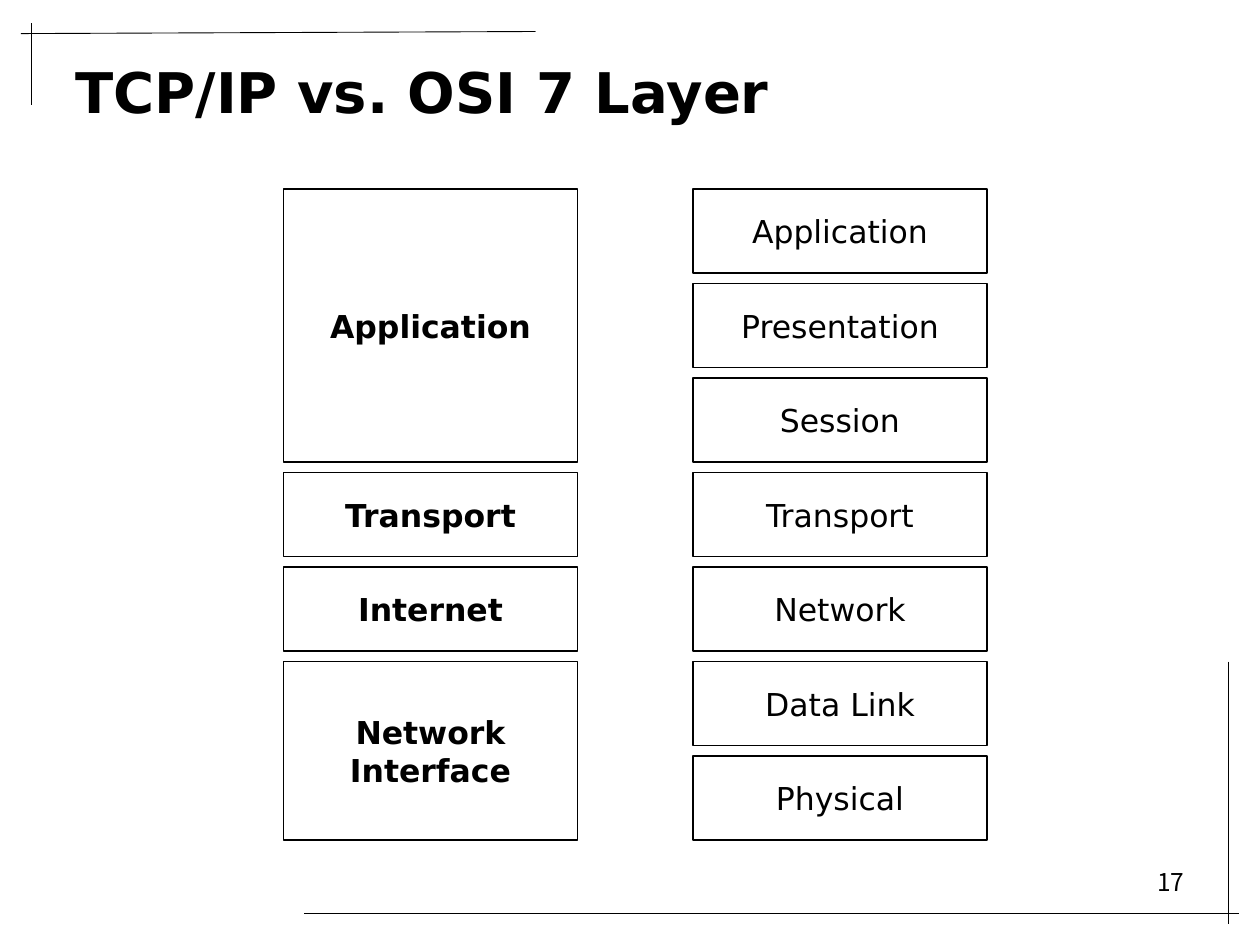
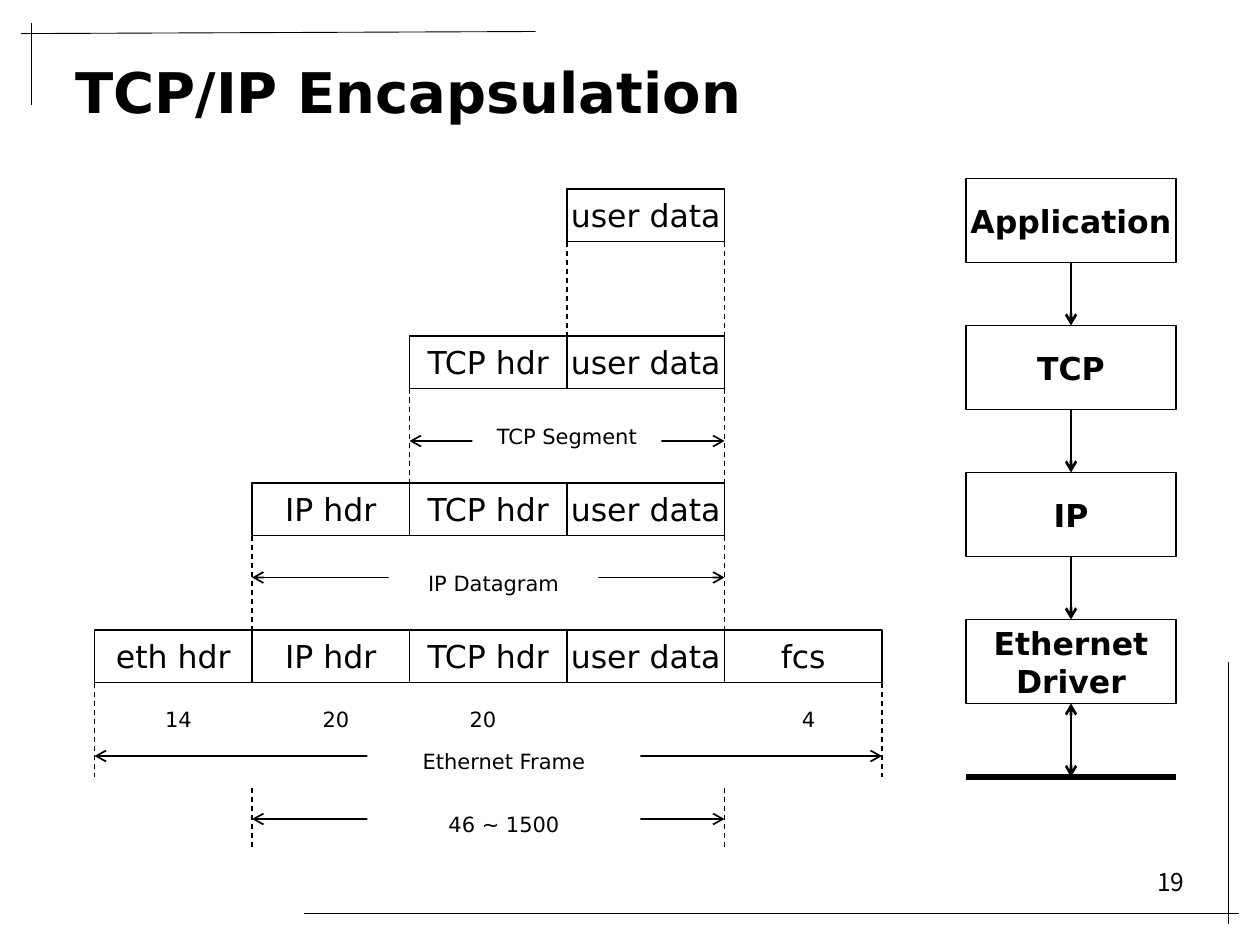
from lxml.etree import SubElement
from pptx import Presentation
from pptx.dml.color import RGBColor
from pptx.enum.dml import MSO_LINE
from pptx.enum.shapes import MSO_CONNECTOR as CONN, MSO_SHAPE as SHAPE
from pptx.enum.text import MSO_ANCHOR as ANCHOR, PP_ALIGN as ALIGN
from pptx.oxml.ns import qn
from pptx.util import Inches, Pt

# All lengths are in grid units: 12 to the inch, so a slide is 120 x 90.
COLS, ROWS = 120, 90
INK, PAPER = "000000", "FFFFFF"
FONT, NUMBER_FONT = "DejaVu Sans", "Noto Sans CJK KR"
FRAME_LINES = [(29, 87, 118, 87), (2, 3.2, 51, 3),
               (3, 2.2, 3, 10), (117, 63, 117, 88)]


def grid(*units):
    return [Inches(u / 12) for u in units]


def color(fmt, value):
    fmt.rgb = RGBColor.from_string(value)


def fill(target, value):
    target.fill.solid()
    color(target.fill.fore_color, value)


def write(tf, text, size, bold=False, align=ALIGN.CENTER, font=FONT):
    for i, line in enumerate(text.split("\n")):
        p = tf.add_paragraph() if i else tf.paragraphs[0]
        p.text = line
        p.alignment = align
        p.font.name, p.font.size, p.font.bold = font, Pt(size), bold
        color(p.font.color, INK)


def text_box(s, box, text, size, anchor, **style):
    tf = s.shapes.add_textbox(*grid(*box)).text_frame
    tf.word_wrap = True
    tf.vertical_anchor = anchor
    write(tf, text, size, **style)


def block(s, box, text, size=18, bold=False, outlined=True):
    sp = s.shapes.add_shape(SHAPE.RECTANGLE, *grid(*box))
    sp.shadow.inherit = False
    fill(sp, PAPER)
    if outlined:
        fill(sp.line, INK)
        sp.line.width = Pt(0.75)
    else:
        sp.line.fill.background()
    sp.text_frame.word_wrap = False
    sp.text_frame.vertical_anchor = ANCHOR.MIDDLE
    write(sp.text_frame, text, size, bold)
    return sp


def label(s, box, text):
    block(s, box, text, size=12, outlined=False)


def line(s, ends, width, dashed=False, arrows=()):
    """Draw a straight line; arrows lists "headEnd" and/or "tailEnd"."""
    c = s.shapes.add_connector(CONN.STRAIGHT, *grid(*ends))
    fill(c.line, INK)
    c.line.width = Pt(width)
    if dashed:
        c.line.dash_style = MSO_LINE.DASH
    for end in arrows:
        SubElement(c.line._get_or_add_ln(), qn("a:" + end), type="arrow")
    SubElement(c._element.spPr, qn("a:effectLst"))
    return c


def add_slide(prs, title, number):
    s = prs.slides.add_slide(prs.slide_layouts[6])
    fill(s.background, PAPER)
    for ends in FRAME_LINES:
        line(s, ends, 0.5)
    text_box(s, (86, 82, 28, 6.25), number, 14, ANCHOR.TOP,
             align=ALIGN.RIGHT, font=NUMBER_FONT)
    text_box(s, (6, 4.5, 108, 8.4), title, 32, ANCHOR.MIDDLE,
             bold=True, align=ALIGN.LEFT)
    return s


def layer_column(s, x, y, width, layers, bold=False):
    """Stack (name, rows spanned) layers downwards from x, y."""
    pitch, gap = 9, 1
    for name, span in layers:
        block(s, (x, y, width, span * pitch - gap), name, bold=bold)
        y += span * pitch


def protocol_stack(s, x, y, width, names):
    """Chain the protocol boxes down to the network cable."""
    height, pitch = 8, 14
    mid = x + width / 2
    boxes = [block(s, (x, y + i * pitch, width, height), name, bold=True)
             for i, name in enumerate(names)]
    for i, (upper, lower) in enumerate(zip(boxes, boxes[1:])):
        top = y + i * pitch
        c = line(s, (mid, top + height, mid, top + pitch), 1.5,
                 arrows=["tailEnd"])
        c.begin_connect(upper, 2)
        c.end_connect(lower, 0)
    bottom = y + (len(names) - 1) * pitch + height
    cable = bottom + 7
    c = line(s, (mid, bottom, mid, cable), 1.5, arrows=["headEnd", "tailEnd"])
    c.begin_connect(boxes[-1], 2)
    line(s, (x, cable, x + width, cable), 3)


def packet_rows(s, x, y):
    """Draw the growing packet, its field sizes and its spans."""
    col, height, pitch = 15, 5, 14
    fields = ["eth hdr", "IP hdr", "TCP hdr", "user data", "fcs"]
    extents = [(3, 4), (2, 4), (1, 4), (0, 5)]
    # first and last column edge, arrow y, label x, label y, label width
    spans = [("TCP Segment", 2, 4, 24, 36, 21, 18),
             ("IP Datagram", 1, 4, 37, 28, 35, 20),
             ("Ethernet Frame", 0, 5, 54, 26, 52, 26),
             ("46 ~ 1500", 1, 4, 60, 26, 58, 26)]
    sizes = [("14", 1, 14), ("20", 16, 14), ("20", 30, 14), ("4", 63, 10)]

    def guides(edges, top, length):
        for edge in edges:
            gx = x + edge * col
            line(s, (gx, y + top, gx, y + top + length), 0.75, dashed=True)

    for row, (first, last) in enumerate(extents):
        top = row * pitch
        for i in range(first, last):
            block(s, (x + i * col, y + top, col, height), fields[i])
        guides((first, last), top + height, pitch - height)
    guides((1, 4), 57, 6)
    for text, first, last, at, left, top, width in spans:
        line(s, (x + first * col, y + at, x + last * col, y + at), 1,
             arrows=["headEnd", "tailEnd"])
        label(s, (x + left, y + top, width, height), text)
    for text, left, width in sizes:
        label(s, (x + left, y + 48, width, height), text)


def main():
    prs = Presentation()
    prs.slide_width, prs.slide_height = grid(COLS, ROWS)

    s = add_slide(prs, "TCP/IP vs. OSI 7 Layer", "17")
    layer_column(s, 27, 18, 28, [("Application", 3), ("Transport", 1),
                                 ("Internet", 1), ("Network\nInterface", 2)],
                 bold=True)
    osi = ["Application", "Presentation", "Session", "Transport",
           "Network", "Data Link", "Physical"]
    layer_column(s, 66, 18, 28, [(name, 1) for name in osi])

    s = add_slide(prs, "TCP/IP Encapsulation", "19")
    protocol_stack(s, 92, 17, 20,
                   ["Application", "TCP", "IP", "Ethernet\nDriver"])
    packet_rows(s, 9, 18)

    prs.save("out.pptx")


if __name__ == "__main__":
    main()
